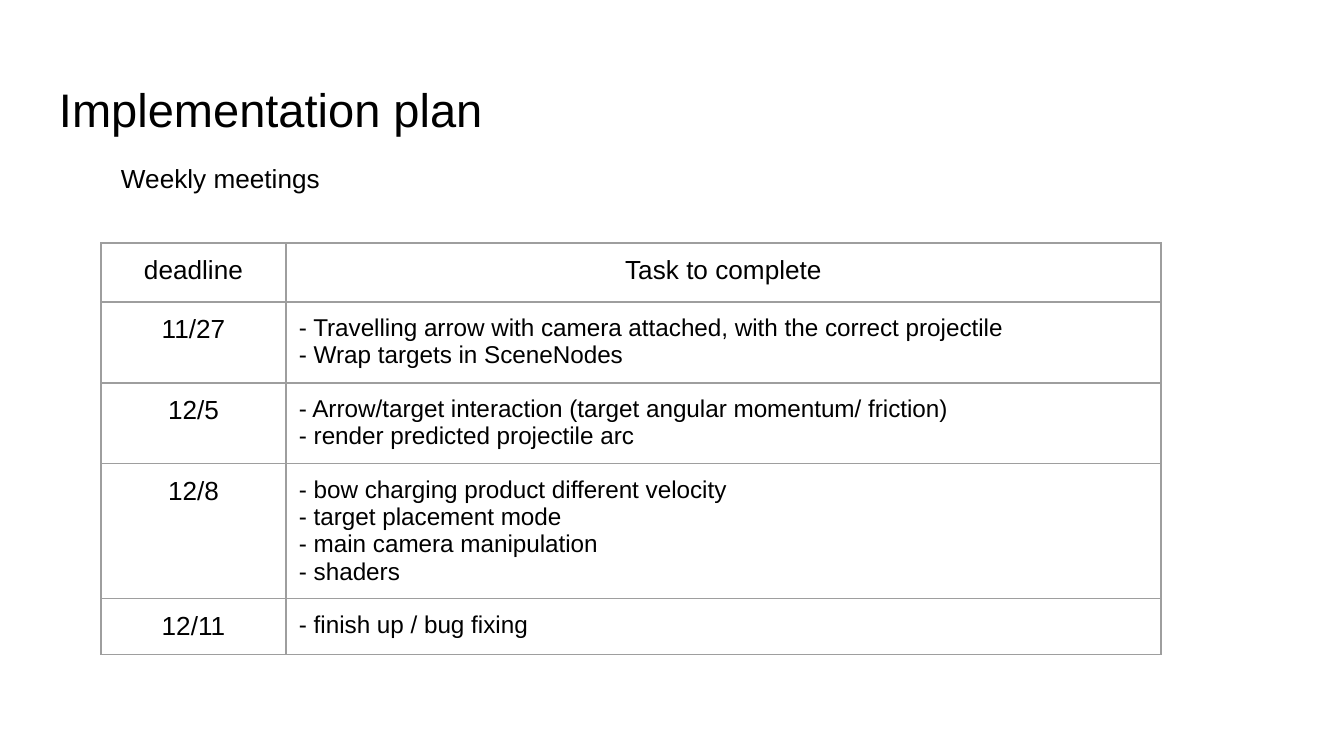
from lxml import etree
from pptx import Presentation
from pptx import util as u
from pptx.dml.color import RGBColor
from pptx.enum import text
from pptx.oxml import ns

PX = u.Inches(1) / 134.4
INSET = 13


def px(*lengths):
    return [u.Emu(round(length * PX)) for length in lengths]


def style(frame, size, align, color="000000"):
    frame.margin_left, frame.margin_top, frame.margin_right, frame.margin_bottom = px(*[INSET] * 4)
    for para in frame.paragraphs:
        para.alignment = align
        para.font.name = "Arial"
        para.font.size = u.Pt(size)
        para.font.color.rgb = RGBColor.from_string(color)


LEFT, CENTER = text.PP_ALIGN.LEFT, text.PP_ALIGN.CENTER

deck = Presentation()
deck.slide_width, deck.slide_height = px(1344, 756)
page = deck.slides.add_slide(deck.slide_layouts[5])

title = page.shapes.title
title.left, title.top, title.width, title.height = px(46, 66, 1252, 85)
title.text_frame.text = "Implementation plan"
title.text_frame.auto_size = text.MSO_AUTO_SIZE.NONE
title.text_frame.vertical_anchor = text.MSO_ANCHOR.MIDDLE
style(title.text_frame, 25.2, LEFT)

plan = [
    ("deadline", ["Task to complete"], 59),
    ("11/27", ["- Travelling arrow with camera attached, with the correct projectile",
               "- Wrap targets in SceneNodes"], 81),
    ("12/5", ["- Arrow/target interaction (target angular momentum/ friction)",
              "- render predicted projectile arc"], 81),
    ("12/8", ["- bow charging product different velocity",
              "- target placement mode",
              "- main camera manipulation",
              "- shaders"], 135),
    ("12/11", ["- finish up / bug fixing"], 56),
]
widths = [185, 875]
height = sum(row[2] for row in plan)
table = page.shapes.add_table(len(plan), 2, *px(101, 243, sum(widths), height)).table
table.first_row = False
table.horz_banding = False
for column, width in zip(table.columns, px(*widths)):
    column.width = width

for index, (deadline, tasks, row_height) in enumerate(plan):
    table.rows[index].height = px(row_height)[0]
    date_cell, task_cell = table.rows[index].cells
    date_cell.text = deadline
    task_cell.text = "\n".join(tasks)
    style(date_cell.text_frame, 14, CENTER)
    style(task_cell.text_frame, 13 if index else 14, LEFT if index else CENTER)
    for cell in (date_cell, task_cell):
        cell.margin_left, cell.margin_top, cell.margin_right, cell.margin_bottom = px(*[INSET] * 4)
        properties = cell._tc.get_or_add_tcPr()
        for side in ("lnL", "lnR", "lnT", "lnB"):
            line = etree.SubElement(properties, ns.qn(f"a:{side}"), w=str(u.Pt(0.75)))
            fill = etree.SubElement(line, ns.qn("a:solidFill"))
            etree.SubElement(fill, ns.qn("a:srgbClr"), val="9E9E9E")
        cell.fill.background()

box = page.shapes.add_textbox(*px(108, 149, 810, 59))
box.text_frame.word_wrap = True
box.text_frame.text = "Weekly meetings"
style(box.text_frame, 14, LEFT)

deck.save("out.pptx")
